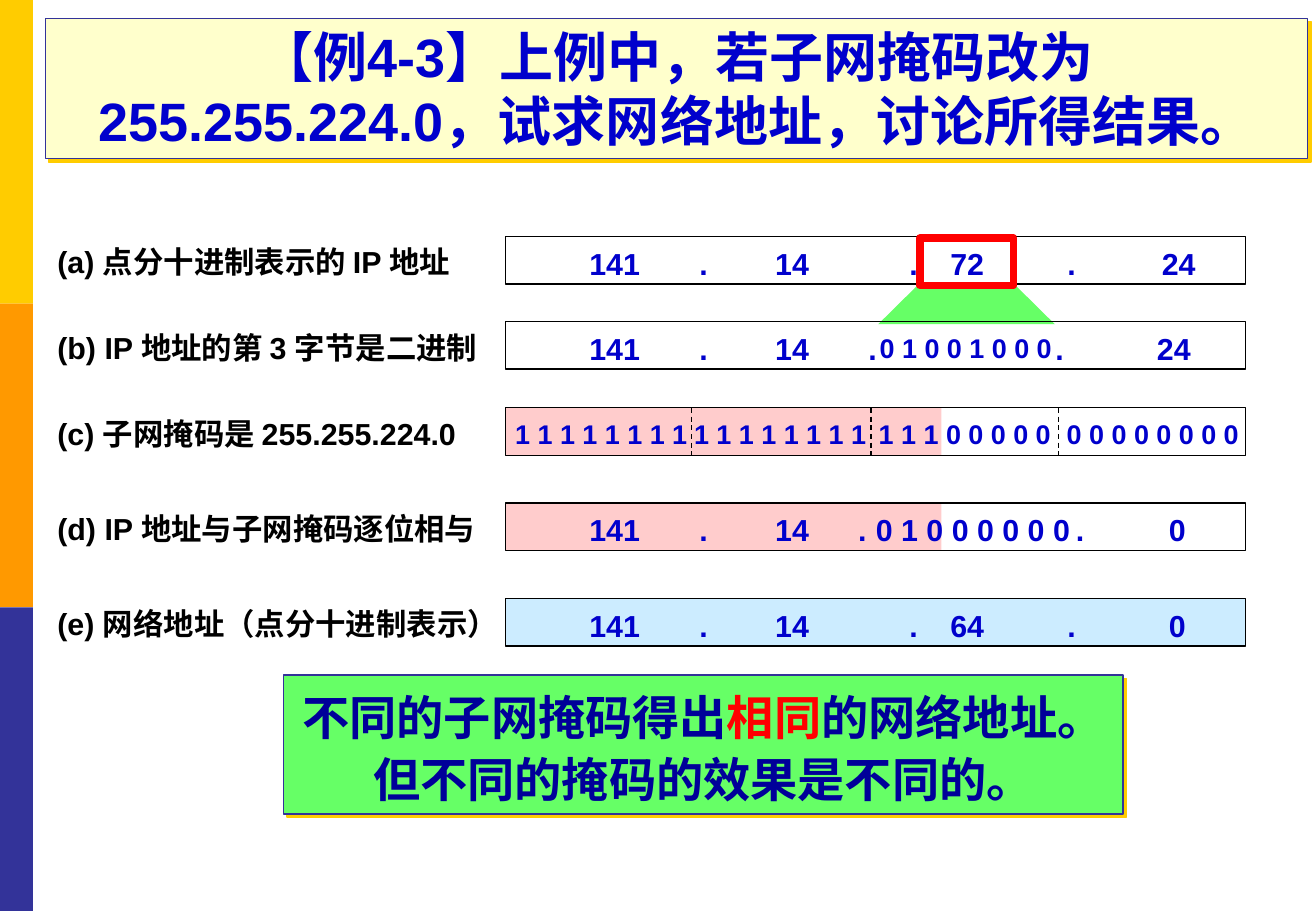
from lxml.etree import SubElement
from pptx import Presentation
from pptx.dml.color import RGBColor
from pptx.enum.dml import MSO_LINE_DASH_STYLE as Dash
from pptx.enum.shapes import MSO_CONNECTOR as Link, MSO_SHAPE as Kind
from pptx.enum.text import MSO_ANCHOR as Anchor, PP_ALIGN as Align
from pptx.oxml.ns import qn
from pptx.util import Cm, Pt

TITLE = "【例4-3】上例中，若子网掩码改为 255.255.224.0，试求网络地址，讨论所得结果。"
CLOSING = [
    [("不同的子网掩码得出", "navy"), ("相同", "red"), ("的网络地址。", "navy")],
    [("但不同的掩码的效果是不同的。", "navy")],
]

# All lengths are in centimetres. A part is (text, centre x, type size).
HEAD = [("141", 12.85, "text"), (".", 14.71, "text"), ("14", 16.56, "text")]
ONES, ZEROS = "1 1 1 1 1 1 1 1", "0 0 0 0 0 0 0 0"
ROWS = [
    dict(top=4.95, label="(a) 点分十进制表示的 IP 地址", wide=8.86, fill=None,
         parts=HEAD + [(".", 19.1, "text"), ("72", 20.22, "text"),
                       (".", 22.4, "text"), ("24", 24.64, "text")]),
    dict(top=6.73, label="(b) IP 地址的第 3 字节是二进制", wide=9.45, fill=None,
         parts=HEAD + [(".", 18.24, "text"), ("0 1 0 0 1 0 0 0", 20.19, "bits"),
                       (".", 22.15, "text"), ("24", 24.54, "text")]),
    dict(top=8.53, label="(c) 子网掩码是 255.255.224.0", wide=8.97, fill="mask",
         parts=[(ONES, 12.57, "bits"), (ONES, 16.31, "bits"),
                ("1 1 1 0 0 0 0 0", 20.17, "bits"), (ZEROS, 24.1, "bits")]),
    dict(top=10.52, label="(d) IP 地址与子网掩码逐位相与", wide=9.3, fill="mask",
         parts=HEAD + [(".", 18.03, "text"), ("0 1 0 0 0 0 0 0", 20.34, "text"),
                       (".", 22.58, "text"), ("0", 24.61, "text")]),
    dict(top=12.52, label="(e) 网络地址（点分十进制表示）", wide=9.86, fill="sky",
         parts=HEAD + [(".", 19.1, "text"), ("64", 20.22, "text"),
                       (".", 22.4, "text"), ("0", 24.61, "text")]),
]
LEFT, WIDE, HIGH = 10.57, 15.47, 0.99
MASK_WIDE = 9.11
SPLITS = [14.45, 18.21, 22.12]
SPLIT_ROW = ROWS[2]
FOCUS = (19.23, 4.98, 1.96, HIGH)
FAN = [(19.23, 5.92), (21.18, 5.92), (22.05, 6.78), (18.36, 6.78)]
SIDE = ["gold", "orange", "indigo"]
SIDE_WIDE = 0.69

THEME = dict(
    font="Arial",
    size=dict(title=32, close=28, text=18, bits=16),
    color=dict(gold="FFCC00", orange="FF9900", indigo="333399", cream="FFFFCC",
               mask="FFCCCC", sky="CCECFF", green="66FF66", blue="0000CC",
               navy="000099", red="FF0000", black="000000"),
)

deck = Presentation()
deck.slide_width, deck.slide_height = Cm(27.51), Cm(19.05)
shapes = deck.slides.add_slide(deck.slide_layouts[6]).shapes


def rgb(name):
    return RGBColor.from_string(THEME["color"][name])


def paint(shape, fill=None, line=None, weight=0.75):
    shape.shadow.inherit = False
    if fill:
        shape.fill.solid()
        shape.fill.fore_color.rgb = rgb(fill)
    else:
        shape.fill.background()
    if line:
        shape.line.color.rgb = rgb(line)
        shape.line.width = Pt(weight)
    else:
        shape.line.fill.background()
    return shape


def rect(x, y, w, h, **look):
    box = shapes.add_shape(Kind.RECTANGLE, Cm(x), Cm(y), Cm(w), Cm(h))
    return paint(box, **look)


def style(para, size, color=None, align=Align.LEFT):
    para.alignment = align
    font = para.font
    font.name, font.bold = THEME["font"], True
    font.size = Pt(THEME["size"][size])
    if color:
        font.color.rgb = rgb(color)


def cast(shape):
    """Give a shape a hard gold shadow, down and to the right."""
    effects = shape._element.spPr.find(qn("a:effectLst"))
    shade = SubElement(effects, qn("a:outerShdw"), blurRad="0",
                       dist=str(Pt(2.8)), dir="2700000", algn="ctr", rotWithShape="0")
    SubElement(shade, qn("a:srgbClr"), val=THEME["color"]["gold"])


def write(text, x, y, w, size, color, align=Align.LEFT, wrap=True):
    box = shapes.add_textbox(Cm(x), Cm(y), Cm(w), Cm(1.02))
    frame = box.text_frame
    frame.word_wrap = wrap
    if not wrap:
        frame.margin_left = frame.margin_right = 0
        frame.vertical_anchor = Anchor.MIDDLE
    para = frame.paragraphs[0]
    para.text = text
    style(para, size, color, align)


def split(x, top):
    line = shapes.add_connector(Link.STRAIGHT, Cm(x), Cm(top), Cm(x), Cm(top + HIGH))
    line.line.color.rgb = rgb("black")
    line.line.width = Pt(0.75)
    line.line.dash_style = Dash.DASH
    SubElement(line._element.spPr, qn("a:effectLst"))


def draw_side():
    high = 19.05 / len(SIDE)
    for i, color in enumerate(SIDE):
        rect(0, i * high, SIDE_WIDE, high, fill=color)


def draw_title():
    box = rect(0.95, 0.38, 26.39, 2.94, fill="cream", line="indigo")
    cast(box)
    frame = box.text_frame
    frame.word_wrap = True
    frame.vertical_anchor = Anchor.BOTTOM
    para = frame.paragraphs[0]
    para.text = TITLE
    style(para, "title", "blue", Align.CENTER)


def draw_fan():
    points = [(Cm(x), Cm(y)) for x, y in FAN]
    path = shapes.build_freeform(*points[0], scale=1.0)
    path.add_line_segments(points[1:], close=True)
    paint(path.convert_to_shape(), fill="green")


def draw_row(row):
    top, fill = row["top"], row["fill"]
    masked = fill == "mask"
    if masked:
        rect(LEFT, top, MASK_WIDE, HIGH, fill=fill)
    rect(LEFT, top, WIDE, HIGH, fill=None if masked else fill, line="black")
    write(row["label"], 0.95, top + 0.02, row["wide"], "text", "black")
    for text, mid, size in row["parts"]:
        wide = 0.28 * len(text) + 0.5
        write(text, mid - wide / 2, top + 0.04, wide, size, "blue",
              Align.CENTER, wrap=False)


def draw_close():
    box = rect(5.93, 14.12, 17.55, 2.9, fill="green", line="indigo", weight=1)
    cast(box)
    frame = box.text_frame
    frame.word_wrap = False
    frame.vertical_anchor = Anchor.MIDDLE
    for i, runs in enumerate(CLOSING):
        para = frame.add_paragraph() if i else frame.paragraphs[0]
        style(para, "close", align=Align.CENTER)
        para.line_spacing = 1.1
        for text, color in runs:
            run = para.add_run()
            run.text = text
            run.font.color.rgb = rgb(color)


draw_side()
draw_title()
draw_fan()
for row in ROWS:
    draw_row(row)
for x in SPLITS:
    split(x, SPLIT_ROW["top"])
rect(*FOCUS, line="red", weight=4.5)
draw_close()
deck.save("out.pptx")
